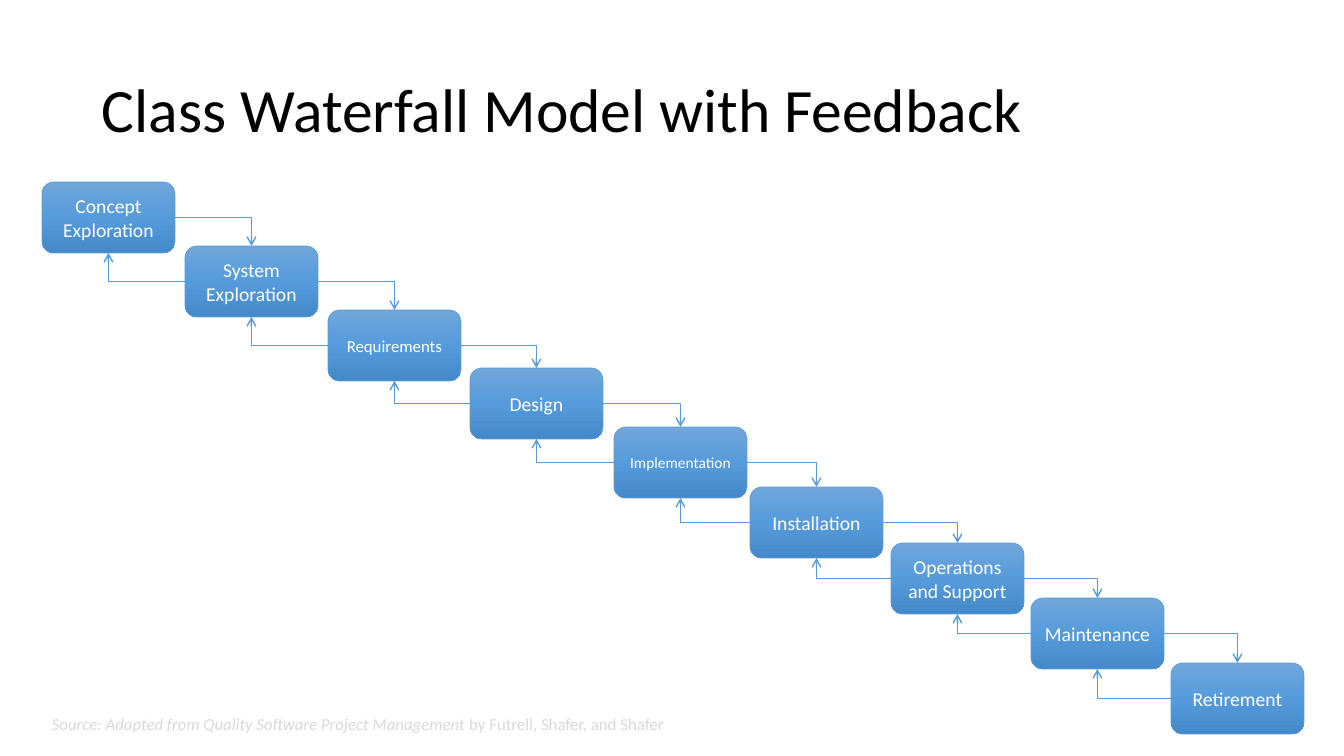
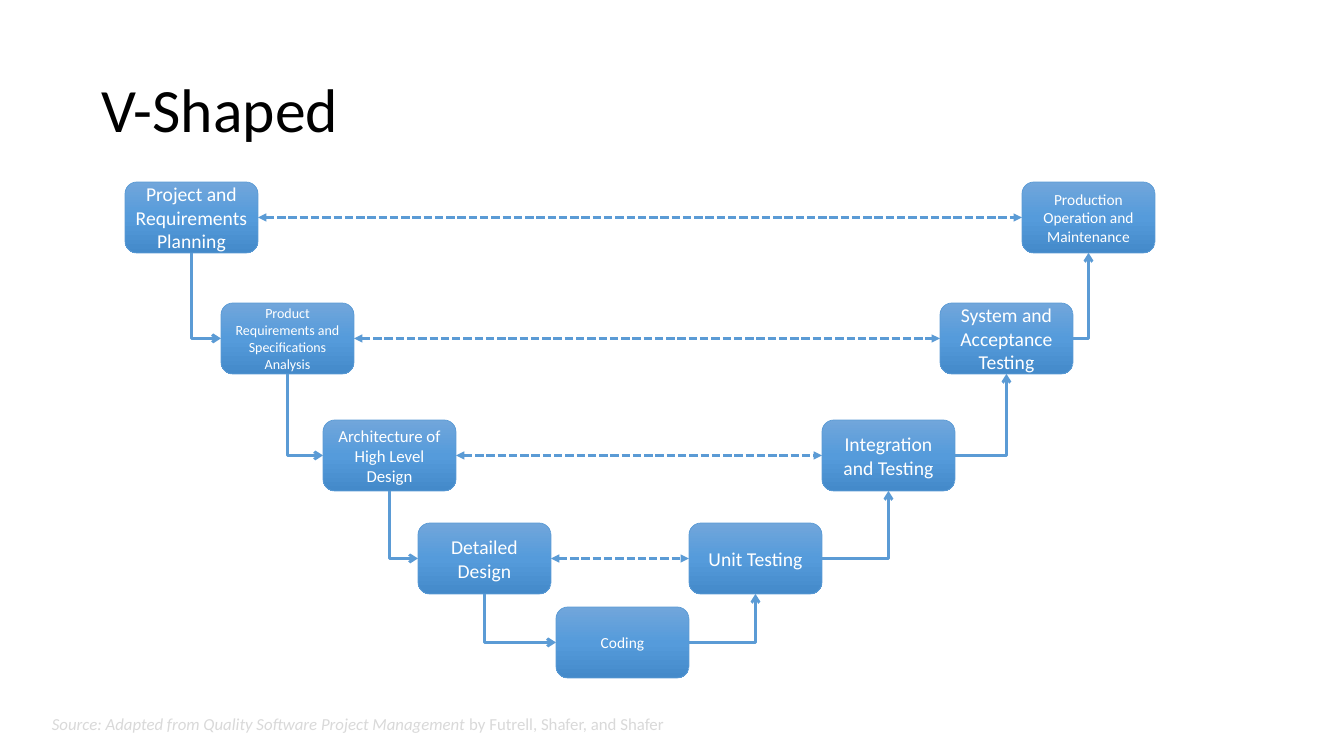
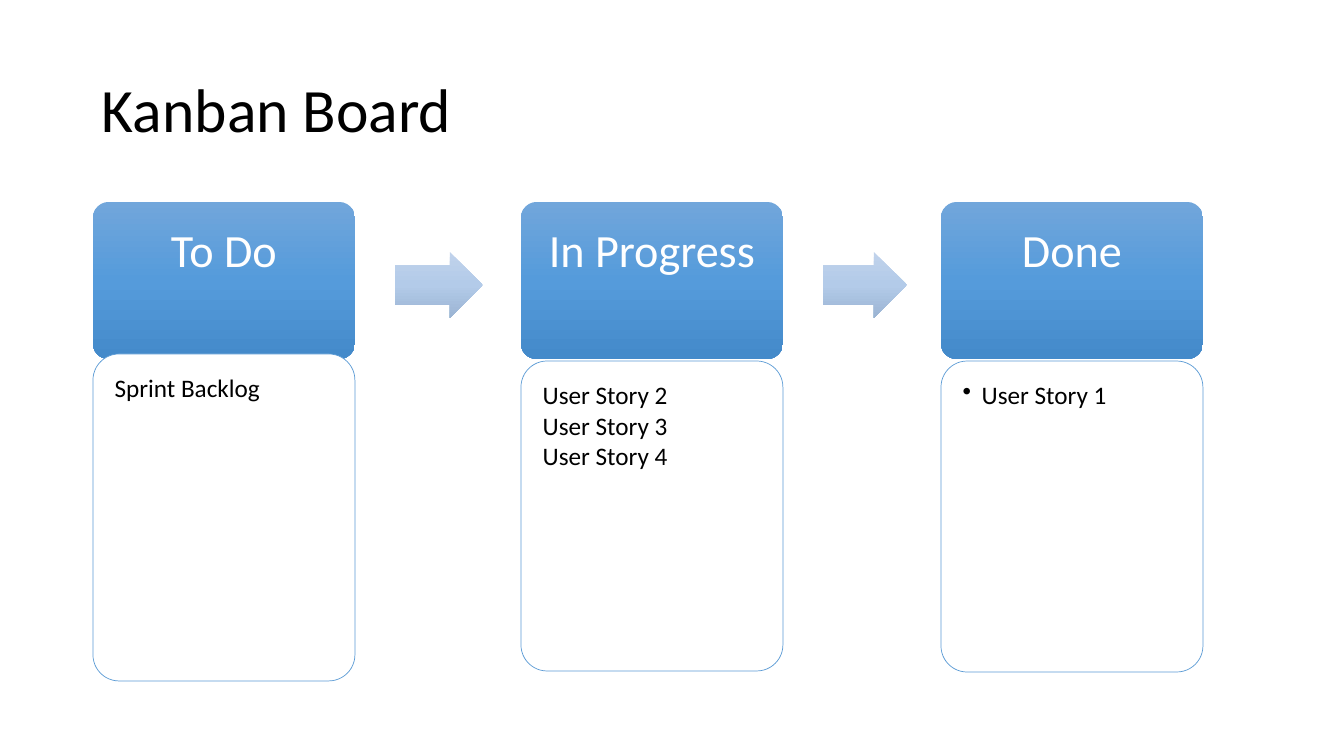
from copy import deepcopy

from pptx import Presentation
from pptx import util as u
from pptx.dml import color as col
from pptx.enum import dml, shapes, text
from pptx.oxml import ns, xmlchemy as xc

PX = 12192000 / 1344
FONT = "Calibri"
COLORS = {"ink": "000000", "white": "FFFFFF", "line": "5B9BD5", "source": "D9D9D9"}
BLUE = [(0, "71A6DB"), (0.5, "559BDB"), (1, "448ACA")]
PALE = [(0, "C0D2EB"), (0.5, "B3CBE9"), (1, "9BB4D3")]

TITLE_AT = (92, 40, 1159, 146)
SOURCE_AT = (42, 709, 948, 30)
SOURCE = [
    ("Source: Adapted from Quality Software Project Management ", True),
    ("by Futrell, Shafer, and Shafer", False),
]
BOX = (133, 71)
TOP, LEFT, BOTTOM, RIGHT = range(4)

WATERFALL = [
    ("Concept Exploration", 42, 182, 14),
    ("System Exploration", 185, 246, 14),
    ("Requirements", 328, 310, 12),
    ("Design", 470, 368, 14),
    ("Implementation", 614, 427, 11),
    ("Installation", 750, 487, 14),
    ("Operations and Support", 891, 543, 14),
    ("Maintenance", 1031, 598, 14),
    ("Retirement", 1171, 663, 14),
]
V_STEPS = [
    ("Project and Requirements Planning", 125, 182, 14),
    ("Product Requirements and Specifications Analysis", 221, 303, 10),
    ("Architecture of High Level Design", 323, 420, 12),
    ("Detailed Design", 418, 523, 14),
    ("Coding", 556, 607, 11),
    ("Unit Testing", 689, 523, 14),
    ("Integration and Testing", 822, 420, 14),
    ("System and Acceptance Testing", 940, 303, 14),
    ("Production Operation and Maintenance", 1022, 182, 11),
]
KANBAN = [
    {"head": "To Do", "x": 93, "y": 354, "h": 327, "cards": ["Sprint Backlog"]},
    {"head": "In Progress", "x": 521, "y": 361, "h": 310,
     "cards": ["User Story 2", "User Story 3", "User Story 4"]},
    {"head": "Done", "x": 941, "y": 361, "h": 311, "cards": ["User Story 1"], "bullet": True},
]
KANBAN_ARROWS = [(395, 88), (823, 84)]
COLUMN_W, HEAD_Y, HEAD_H = 262, 202, 157
ARROW_Y, ARROW_H = 252, 66


def px(n):
    return u.Emu(round(n * PX))


def rgb(name):
    return col.RGBColor.from_string(COLORS.get(name, name))


def apply(obj, fmt):
    for key, value in fmt.items():
        setattr(obj, key, value)


def add_run(p, words, size, color, italic=False):
    r = p.add_run()
    r.text = words
    apply(r.font, {"name": FONT, "size": u.Pt(size), "italic": italic})
    r.font.color.rgb = rgb(color)


def write(sp, lines, size, color, frame=None, para=None):
    tf = sp.text_frame
    apply(tf, {"word_wrap": True, **(frame or {})})
    for i, line in enumerate(lines):
        p = tf.paragraphs[0] if i == 0 else tf.add_paragraph()
        apply(p, para or {})
        add_run(p, line, size, color)
    return tf


def insets(left, top, right, bottom):
    names = ("margin_left", "margin_top", "margin_right", "margin_bottom")
    return dict(zip(names, map(px, (left, top, right, bottom))))


def shade(sp, stops):
    sp.fill.gradient()
    sp.fill.gradient_angle = 270
    gs = sp._element.spPr.find(".//" + ns.qn("a:gsLst"))
    gs.insert(1, deepcopy(gs[0]))
    for stop, (position, color) in zip(sp.fill.gradient_stops, stops):
        stop.position = position
        stop.color.rgb = rgb(color)


def add_block(s, kind, at, stops=None, outlined=True, adj=()):
    sp = s.shapes.add_shape(kind, *map(px, at))
    sp.shadow.inherit = False
    for i, value in enumerate(adj):
        sp.adjustments[i] = value
    if stops:
        shade(sp, stops)
    else:
        sp.fill.solid()
        sp.fill.fore_color.rgb = rgb("white")
    if outlined:
        sp.line.color.rgb = rgb("line")
        sp.line.width = u.Pt(0.5)
    else:
        sp.line.fill.background()
    return sp


def join(s, begin, end, width, bent=True, dash=None, **ends):
    kind = shapes.MSO_CONNECTOR.ELBOW if bent else shapes.MSO_CONNECTOR.STRAIGHT
    cx = s.shapes.add_connector(kind, 0, 0, 0, 0)
    cx.begin_connect(*begin)
    cx.end_connect(*end)
    cx.line.color.rgb = rgb("line")
    apply(cx.line, {"width": u.Pt(width), "dash_style": dash})
    pr = cx._element.spPr
    if bent:
        pr.find(ns.qn("a:prstGeom")).set("prst", "bentConnector2")
    ln = pr.find(ns.qn("a:ln"))
    for name in ("head", "tail"):
        if name in ends:
            ln.append(xc.OxmlElement(f"a:{name}End"))
            ln[-1].set("type", ends[name])
    pr.append(xc.OxmlElement("a:effectLst"))


def add_slide(prs, title):
    s = prs.slides.add_slide(prs.slide_layouts[6])
    sp = s.shapes.add_textbox(*map(px, TITLE_AT))
    write(sp, [title], 44, "ink", {"vertical_anchor": text.MSO_ANCHOR.MIDDLE},
          {"line_spacing": 0.9})
    return s


def add_steps(s, steps):
    boxes = []
    for i, (label, x, y, size) in enumerate(steps):
        sp = add_block(s, shapes.MSO_SHAPE.ROUNDED_RECTANGLE, (x, y, *BOX), BLUE)
        side = 0 if i == 0 else 10
        write(sp, [label], size, "white",
              {"vertical_anchor": text.MSO_ANCHOR.MIDDLE, **insets(side, 5, side, 5)},
              {"alignment": text.PP_ALIGN.CENTER})
        boxes.append(sp)
    return boxes


def add_source(s):
    sp = s.shapes.add_textbox(*map(px, SOURCE_AT))
    sp.fill.solid()
    sp.fill.fore_color.rgb = rgb("white")
    sp.text_frame.word_wrap = True
    for words, italic in SOURCE:
        add_run(sp.text_frame.paragraphs[0], words, 12, "source", italic)


def waterfall_slide(prs):
    s = add_slide(prs, "Class Waterfall Model with Feedback")
    boxes = add_steps(s, WATERFALL)
    for a, b in zip(boxes, boxes[1:]):
        join(s, (a, RIGHT), (b, TOP), 1, tail="arrow")
        join(s, (b, LEFT), (a, BOTTOM), 1, tail="arrow")
    add_source(s)


def v_slide(prs):
    s = add_slide(prs, "V-Shaped")
    boxes = add_steps(s, V_STEPS)
    middle = len(boxes) // 2
    for i, (a, b) in enumerate(zip(boxes, boxes[1:])):
        if i < middle:
            join(s, (b, LEFT), (a, BOTTOM), 2, head="arrow")
        else:
            join(s, (a, RIGHT), (b, BOTTOM), 2, tail="arrow")
    for a, b in zip(boxes[:middle], reversed(boxes)):
        join(s, (a, RIGHT), (b, LEFT), 2, bent=False, dash=dml.MSO_LINE.SQUARE_DOT,
             head="triangle", tail="triangle")
    add_source(s)


def add_bullet(p):
    pr = p._p.get_or_add_pPr()
    pr.set("marL", str(px(19)))
    pr.set("indent", str(-px(19)))
    pr.append(xc.OxmlElement("a:buChar"))
    pr[-1].set("char", "•")


def kanban_slide(prs):
    s = add_slide(prs, "Kanban Board")
    rounded = shapes.MSO_SHAPE.ROUNDED_RECTANGLE
    top = {"vertical_anchor": text.MSO_ANCHOR.TOP}
    for c in KANBAN:
        head = add_block(s, rounded, (c["x"], HEAD_Y, COLUMN_W, HEAD_H), BLUE, False, [0.1])
        write(head, [c["head"]], 33, "white", {**top, **insets(21, 21, 21, 14)},
              {"alignment": text.PP_ALIGN.CENTER, "line_spacing": 0.9})
        body = add_block(s, rounded, (c["x"], c["y"], COLUMN_W, c["h"]), adj=[0.1])
        tf = write(body, c["cards"], 18, "ink", {**top, **insets(14, 14, 14, 14)},
                   {"alignment": text.PP_ALIGN.LEFT, "line_spacing": 0.9,
                    "space_after": u.Pt(2.5)})
        if c.get("bullet"):
            for p in tf.paragraphs:
                add_bullet(p)
    for x, w in KANBAN_ARROWS:
        add_block(s, shapes.MSO_SHAPE.RIGHT_ARROW, (x, ARROW_Y, w, ARROW_H), PALE, False,
                  [0.6, 0.5])


def main():
    prs = Presentation()
    apply(prs, {"slide_width": px(1344), "slide_height": px(756)})
    for build in (waterfall_slide, v_slide, kanban_slide):
        build(prs)
    prs.save("out.pptx")


if __name__ == "__main__":
    main()
